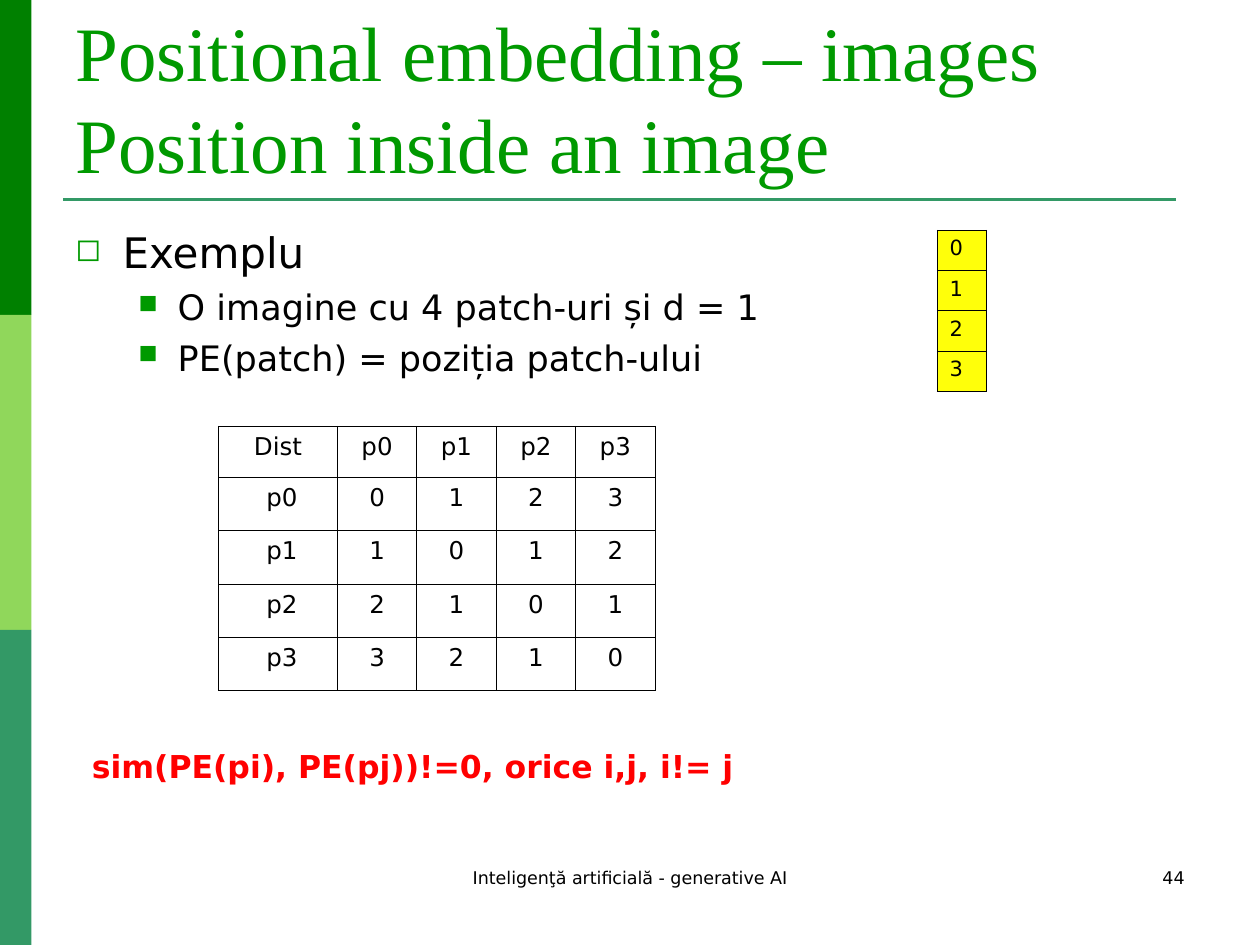
from lxml.etree import SubElement as Sub
from pptx import Presentation
from pptx.dml.color import RGBColor as Rgb
from pptx.enum.shapes import MSO_CONNECTOR as Link, MSO_SHAPE as Shape
from pptx.enum.text import MSO_ANCHOR as Anchor, PP_ALIGN as Align
from pptx.oxml.ns import qn
from pptx.util import Pt

HUES = {"dark": "008000", "light": "90D75B", "teal": "339966", "green": "009900",
        "black": "000000", "red": "FF0000", "yellow": "FFFF0A"}
SANS = "DejaVu Sans"
SERIF = "Times New Roman"


def write(para, text, size, hue="black", face=SANS, bold=False):
    run = para.add_run()
    run.text = text
    font = run.font
    font.size, font.name, font.bold = Pt(size), face, bold
    font.color.rgb = Rgb.from_string(HUES[hue])


def make_grid(slide, rows, left, top, wides, high, size, align, fill=None):
    frame = slide.shapes.add_table(len(rows), len(wides), Pt(left), Pt(top),
                                   Pt(sum(wides)), Pt(high * len(rows)))
    grid = frame.table
    grid.first_row = grid.horz_banding = False
    for col, wide in zip(grid.columns, wides):
        col.width = Pt(wide)
    for r, row in enumerate(rows):
        grid.rows[r].height = Pt(high)
        for c, text in enumerate(row):
            cell = grid.cell(r, c)
            para = cell.text_frame.paragraphs[0]
            para.alignment = align
            write(para, text, size)
            props = cell._tc.get_or_add_tcPr()
            for side in ("lnL", "lnR", "lnT", "lnB"):
                edge = Sub(props, qn(f"a:{side}"), w=str(Pt(0.45)))
                paint = Sub(edge, qn("a:solidFill"))
                Sub(paint, qn("a:srgbClr"), val=HUES["black"])
            if fill:
                cell.fill.solid()
                cell.fill.fore_color.rgb = Rgb.from_string(HUES[fill])
            else:
                cell.fill.background()
    return grid


deck = Presentation()
deck.slide_width, deck.slide_height = Pt(720), Pt(540)
slide = deck.slides.add_slide(deck.slide_layouts[6])
shapes = slide.shapes

for n, hue in enumerate(("dark", "light", "teal")):
    band = shapes.add_shape(Shape.RECTANGLE, Pt(0), Pt(180 * n), Pt(18), Pt(180))
    band.shadow.inherit = False
    band.fill.solid()
    band.fill.fore_color.rgb = Rgb.from_string(HUES[hue])
    band.line.fill.background()

rule = shapes.add_connector(Link.STRAIGHT, Pt(36), Pt(114), Pt(672), Pt(114))
rule.line.width = Pt(1.5)
rule.line.color.rgb = Rgb.from_string(HUES["teal"])
Sub(rule._element.spPr, qn("a:effectLst"))

title = shapes.add_textbox(Pt(36), Pt(21.6), Pt(648), Pt(90)).text_frame
title.word_wrap = True
title.vertical_anchor = Anchor.BOTTOM
head = title.paragraphs[0]
write(head, "Positional embedding – images", 44, "green", SERIF)
head.add_line_break()
write(head, "Position inside an image", 44, "green", SERIF)

points = [("Exemplu", 0, 24, "◻", 27, 27, 0),
          ("O imagine cu 4 patch-uri și d = 1", 1, 20, "■", 58.5, 22.5, 5),
          ("PE(patch) = poziția patch-ului", 1, 20, "■", 58.5, 22.5, 5)]
body = shapes.add_textbox(Pt(36), Pt(126), Pt(648), Pt(356.4)).text_frame
body.word_wrap = True
for n, (text, level, size, mark, left, hang, gap) in enumerate(points):
    para = body.add_paragraph() if n else body.paragraphs[0]
    para.level = level
    props = para._p.get_or_add_pPr()
    props.set("marL", str(Pt(left)))
    props.set("indent", str(Pt(-hang)))
    tint = Sub(props, qn("a:buClr"))
    Sub(tint, qn("a:srgbClr"), val=HUES["green"])
    Sub(props, qn("a:buSzPct"), val="75000")
    Sub(props, qn("a:buChar"), char=mark)
    para.space_before = Pt(gap)
    write(para, text, size)

make_grid(slide, [[str(n)] for n in range(4)], 535.5, 131.5, [28.2], 23.05, 12,
          Align.LEFT, "yellow")

spots = range(4)
rows = [["Dist"] + [f"p{j}" for j in spots]]
rows += [[f" p{i}"] + [str(abs(i - j)) for j in spots] for i in spots]
dist = make_grid(slide, rows, 125, 243.6, [67.8] + [45.4] * 4, 30.5, 14, Align.CENTER)
dist.rows[0].height = Pt(29.2)

notes = [("sim(PE(pi), PE(pj))!=0, orice i,j, i!= j", 45.4, 423.4, 412.6, 28.8, 18, "red", Align.LEFT),
         ("Inteligenţă artificială - generative AI", 246, 492, 228, 36, 10, "black", Align.CENTER),
         ("44", 516, 492, 168, 36, 10, "black", Align.RIGHT)]
for text, left, top, wide, high, size, hue, align in notes:
    frame = shapes.add_textbox(Pt(left), Pt(top), Pt(wide), Pt(high)).text_frame
    frame.word_wrap = True
    para = frame.paragraphs[0]
    para.alignment = align
    write(para, text, size, hue, bold=hue == "red")

deck.save("out.pptx")
